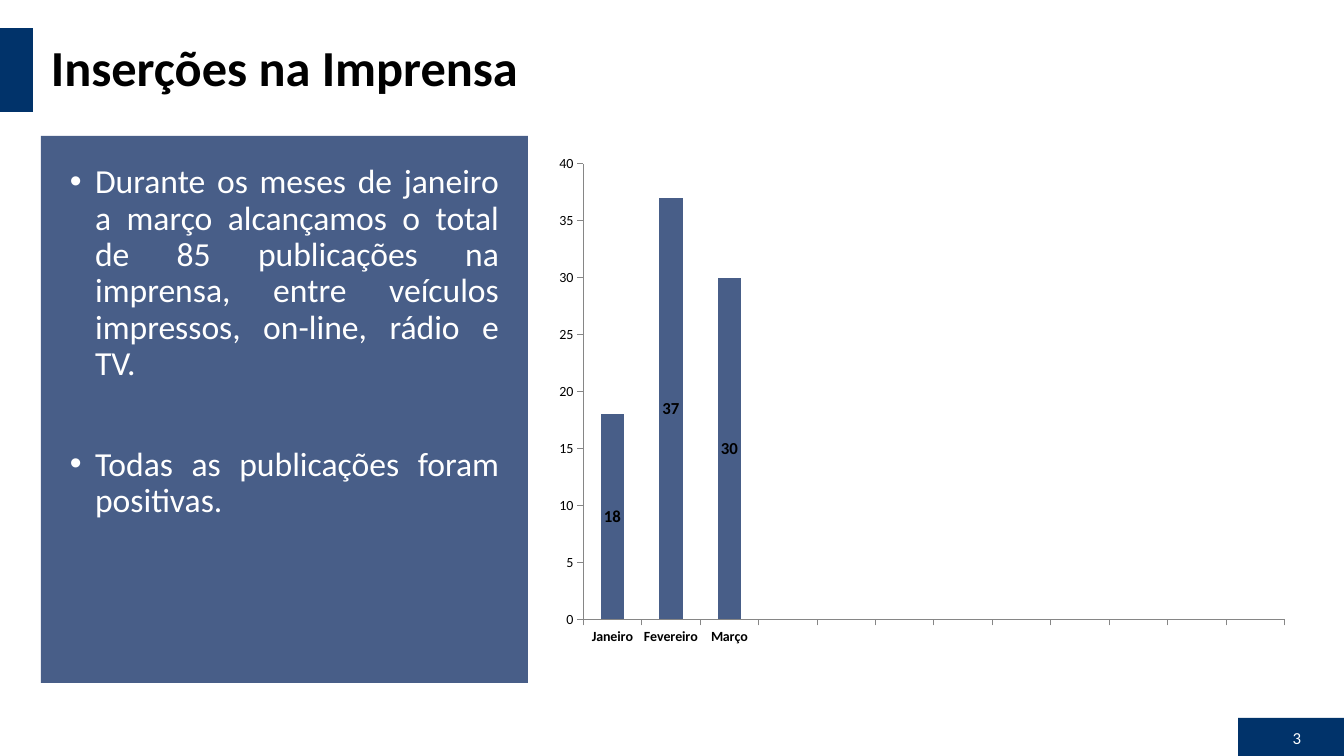
"""Build the slide on press mentions from January to March."""
from typing import Any, NamedTuple

from lxml import etree
from pptx import Presentation, util as u
from pptx.chart import data as chart_data
from pptx.dml import color
from pptx.enum import chart as chart_enum, shapes, text
from pptx.oxml import ns

EMU_PER_PIXEL = 914400 / 100.8
FONT = "Calibri"
NAVY, BLUE, BLACK, WHITE, GRAY = "01336A", "485E88", "000000", "FFFFFF", "868686"
MONTHS = {"Janeiro": 18, "Fevereiro": 37, "Março": 30}
MONTHS_IN_YEAR = 12
PLOT_LAYOUT = {"layoutTarget": "inner", "xMode": "edge", "yMode": "edge",
               "x": 0.056, "y": 0.051, "w": 0.91, "h": 0.833}


class Box(NamedTuple):
    left: int
    top: int
    width: int
    height: int


class Panel(NamedTuple):
    box: Box
    fill: str


class Label(NamedTuple):
    box: Box
    lines: list[str]
    size: int
    color: str
    anchor: Any = text.MSO_ANCHOR.MIDDLE
    bold: bool = False
    bullet: bool = False
    format: dict[str, Any] = {}


PANELS = [
    Panel(Box(1238, 718, 106, 38), NAVY),
    Panel(Box(0, 28, 33, 84), NAVY),
    Panel(Box(41, 136, 487, 547), BLUE),
]
LABELS = [
    Label(Box(41, 28, 1270, 84), ["Inserções na Imprensa"], 36, BLACK, bold=True,
          format={"line_spacing": 0.9}),
    Label(Box(1270, 726, 41, 23), ["3"], 12, WHITE,
          format={"alignment": text.PP_ALIGN.RIGHT}),
    Label(Box(60, 160, 449, 502),
          ["Durante os meses de janeiro a março alcançamos o total de 85 publicações "
           "na imprensa, entre veículos impressos, on-line, rádio e TV.",
           "Todas as publicações foram positivas."],
          24, WHITE, text.MSO_ANCHOR.TOP, bullet=True,
          format={"alignment": text.PP_ALIGN.JUSTIFY, "line_spacing": 0.9,
                  "space_before": u.Pt(10)}),
]
BULLET_GAP = u.Pt(46)
CHART_BOX = Box(540, 136, 771, 547)


def px(pixels: int) -> int:
    """Turn pixels into EMU."""
    return round(pixels * EMU_PER_PIXEL)


def place(box: Box) -> list[int]:
    """Give a box in EMU."""
    return [px(length) for length in box]


def rgb(value: str) -> color.RGBColor:
    """Read a hex colour."""
    return color.RGBColor.from_string(value)


def apply(target: Any, values: dict[str, Any]) -> None:
    """Set each named attribute."""
    for name, value in values.items():
        setattr(target, name, value)


def style_font(font: Any, size: int, hex_color: str, bold: bool = False) -> None:
    """Set family, size, weight and colour."""
    apply(font, {"name": FONT, "size": u.Pt(size), "bold": bold})
    font.color.rgb = rgb(hex_color)


def add_panel(slide: Any, panel: Panel) -> None:
    """Draw a plain filled rectangle."""
    shape = slide.shapes.add_shape(shapes.MSO_SHAPE.RECTANGLE, *place(panel.box))
    shape.shadow.inherit = False
    shape.fill.solid()
    shape.fill.fore_color.rgb = rgb(panel.fill)
    shape.line.fill.background()


def add_bullet(paragraph: Any) -> None:
    """Give a paragraph a hanging bullet."""
    properties = paragraph._p.get_or_add_pPr()
    indent = u.Inches(0.25)
    properties.set("marL", str(indent))
    properties.set("indent", str(-indent))
    etree.SubElement(properties, ns.qn("a:buFont"), typeface="Arial")
    etree.SubElement(properties, ns.qn("a:buChar"), char="•")


def add_label(slide: Any, label: Label) -> None:
    """Draw a text box with one paragraph per line."""
    frame = slide.shapes.add_textbox(*place(label.box)).text_frame
    apply(frame, {"word_wrap": True, "vertical_anchor": label.anchor})
    for index, line in enumerate(label.lines):
        paragraph = frame.add_paragraph() if index else frame.paragraphs[0]
        apply(paragraph, label.format)
        if index:
            paragraph.space_before = BULLET_GAP
        if label.bullet:
            add_bullet(paragraph)
        run = paragraph.add_run()
        run.text = line
        style_font(run.font, label.size, label.color, label.bold)


def set_plot_layout(chart: Any) -> None:
    """Fix the inner plot area as fractions of the chart."""
    plot_area = chart._chartSpace.chart.plotArea
    for old in plot_area.findall(ns.qn("c:layout")):
        plot_area.remove(old)
    layout = etree.Element(ns.qn("c:layout"))
    manual = etree.SubElement(layout, ns.qn("c:manualLayout"))
    for name, value in PLOT_LAYOUT.items():
        etree.SubElement(manual, ns.qn(f"c:{name}"), val=str(value))
    plot_area.insert(0, layout)


def add_month_chart(slide: Any) -> None:
    """Draw the monthly column chart with room for a whole year."""
    blanks = MONTHS_IN_YEAR - len(MONTHS)
    table = chart_data.CategoryChartData()
    table.categories = [*MONTHS, *[""] * blanks]
    table.add_series("Series 1", [*MONTHS.values(), *[None] * blanks])
    chart = slide.shapes.add_chart(
        chart_enum.XL_CHART_TYPE.COLUMN_STACKED, *place(CHART_BOX), table).chart
    apply(chart, {"has_legend": False, "has_title": False})
    style_font(chart.font, 10, BLACK)
    set_plot_layout(chart)
    for axis, bold in ((chart.category_axis, True), (chart.value_axis, False)):
        apply(axis, {"has_major_gridlines": False,
                     "major_tick_mark": chart_enum.XL_TICK_MARK.OUTSIDE})
        axis.format.line.color.rgb = rgb(GRAY)
        style_font(axis.tick_labels.font, 10, BLACK, bold)
    apply(chart.value_axis, {"minimum_scale": 0, "maximum_scale": 40, "major_unit": 5})
    plot = chart.plots[0]
    apply(plot, {"gap_width": 150, "overlap": 100, "vary_by_categories": False})
    series = plot.series[0]
    series.format.fill.solid()
    series.format.fill.fore_color.rgb = rgb(BLUE)
    apply(series.data_labels, {"show_value": True,
                               "position": chart_enum.XL_LABEL_POSITION.CENTER})
    style_font(series.data_labels.font, 12, BLACK, True)


def main() -> None:
    """Build and save the slide."""
    presentation = Presentation()
    apply(presentation, {"slide_width": px(1344), "slide_height": px(756)})
    slide = presentation.slides.add_slide(presentation.slide_layouts[6])
    for panel in PANELS:
        add_panel(slide, panel)
    for label in LABELS:
        add_label(slide, label)
    add_month_chart(slide)
    presentation.save("out.pptx")


main()
